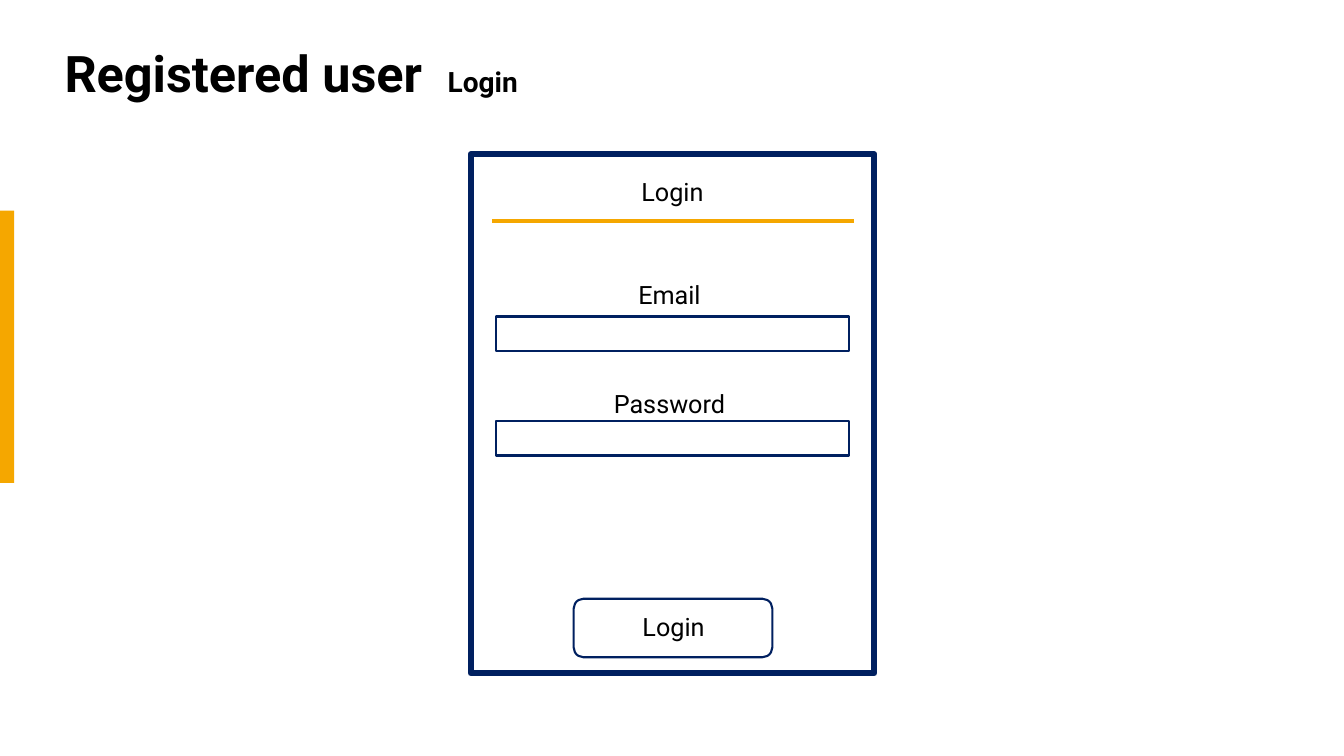
from dataclasses import dataclass

from lxml import etree
from pptx import Presentation
from pptx import util as u
from pptx.dml.color import RGBColor
from pptx.enum import shapes, text
from pptx.oxml.ns import qn

PX = u.Inches(1) // 100


@dataclass(frozen=True)
class Theme:
    font: str = "Roboto"
    ink: str = "000000"
    paper: str = "FFFFFF"
    navy: str = "002060"
    amber: str = "F5A700"
    title: int = 36
    subtitle: int = 20
    label: int = 18
    frame_line: float = 4.5
    rule_line: float = 3
    field_line: float = 1.5


THEME = Theme()


def color(value):
    return RGBColor.from_string(value)


def scaled(*lengths):
    return [u.Emu(length * PX) for length in lengths]


def add_span(para, content, size=THEME.label, bold=False):
    span = para.add_run()
    span.text = content
    span.font.name = THEME.font
    span.font.size = u.Pt(size)
    span.font.bold = bold
    span.font.color.rgb = color(THEME.ink)


def add_box(page, box, fill=None, line=None, width=THEME.field_line,
            kind=shapes.MSO_SHAPE.RECTANGLE):
    shape = page.shapes.add_shape(kind, *scaled(*box))
    shape.shadow.inherit = False
    if fill:
        shape.fill.solid()
        shape.fill.fore_color.rgb = color(fill)
    else:
        shape.fill.background()
    if line:
        shape.line.color.rgb = color(line)
        shape.line.width = u.Pt(width)
    else:
        shape.line.fill.background()
    return shape


def add_label(page, box, content):
    frame = page.shapes.add_textbox(*scaled(*box)).text_frame
    frame.word_wrap = True
    frame.auto_size = text.MSO_AUTO_SIZE.SHAPE_TO_FIT_TEXT
    para = frame.paragraphs[0]
    para.alignment = text.PP_ALIGN.CENTER
    add_span(para, content)


def add_rule(page, left, top, width):
    rule = page.shapes.add_connector(
        shapes.MSO_CONNECTOR.STRAIGHT, *scaled(left, top, left + width, top))
    rule.line.color.rgb = color(THEME.amber)
    rule.line.width = u.Pt(THEME.rule_line)
    properties = rule._element.find(qn("p:spPr"))
    etree.SubElement(properties, qn("a:effectLst"))


def place_title(page, box, heading, subheading, tab):
    title = page.shapes.title
    title.left, title.top, title.width, title.height = scaled(*box)
    frame = title.text_frame
    frame.word_wrap = True
    frame.auto_size = text.MSO_AUTO_SIZE.NONE
    frame.vertical_anchor = text.MSO_ANCHOR.MIDDLE
    para = frame.paragraphs[0]
    para.alignment = text.PP_ALIGN.LEFT
    para.line_spacing = 0.9
    stops = etree.SubElement(para._p.get_or_add_pPr(), qn("a:tabLst"))
    etree.SubElement(stops, qn("a:tab"), pos=str(tab * PX), algn="l")
    add_span(para, heading + "\t", size=THEME.title, bold=True)
    add_span(para, subheading, size=THEME.subtitle, bold=True)


def login_form(page, box):
    left, top, width, height = box
    add_box(page, box, fill=THEME.paper, line=THEME.navy, width=THEME.frame_line)
    add_label(page, (left, top + 17, width, 40), "Login")
    add_rule(page, left + 21, top + 66, 359)
    for name, label_top, field_top in (("Email", 119, 161), ("Password", 227, 265)):
        add_label(page, (left + 10, top + label_top, 374, 40), name)
        add_box(page, (left + 25, top + field_top, 350, 34),
                fill=THEME.paper, line=THEME.navy)
    button_top = top + height - 74
    add_box(page, (left + 102, button_top, 197, 58), line=THEME.navy,
            kind=shapes.MSO_SHAPE.ROUNDED_RECTANGLE)
    add_label(page, (left + 125, button_top + 8, 152, 40), "Login")


def login_page(deck):
    page = deck.slides.add_slide(deck.slide_layouts[5])
    page.background.fill.solid()
    page.background.fill.fore_color.rgb = color(THEME.paper)
    add_box(page, (0, 209, 14, 270), fill=THEME.amber)
    login_form(page, (467, 153, 400, 515))
    place_title(page, (54, 40, 1006, 72), "Registered user", "Login", tab=380)


def main():
    deck = Presentation()
    deck.slide_width, deck.slide_height = scaled(1333, 750)
    login_page(deck)
    deck.save("out.pptx")


if __name__ == "__main__":
    main()
